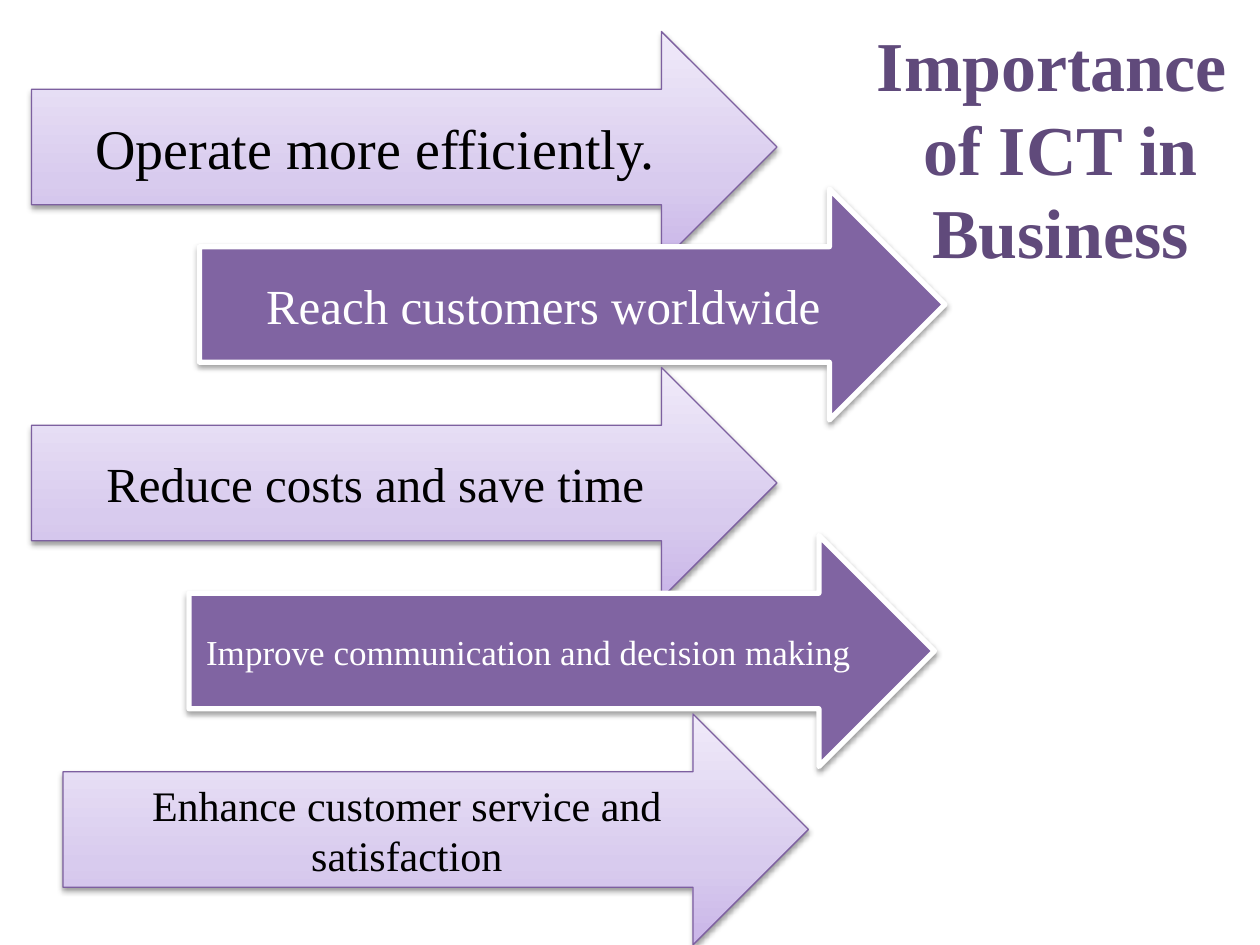
from lxml import etree
from pptx import Presentation
from pptx.dml.color import RGBColor
from pptx.enum.shapes import MSO_SHAPE
from pptx.enum.text import MSO_ANCHOR, PP_ALIGN
from pptx.oxml import parse_xml
from pptx.oxml.ns import nsdecls, qn
from pptx.util import Inches, Pt

ARROW = MSO_SHAPE.RIGHT_ARROW
CENTER = PP_ALIGN.CENTER
MIDDLE = MSO_ANCHOR.MIDDLE

THEME = {
    "font": "Times New Roman",
    "title": "604A7B",
    "title_size": 40,
    "gradient": [(0, "C9B5E8"), (35, "D8CBEE"), (100, "F0EAF9")],
    "solid": "8064A2",
    "light": {"line": "7D60A0", "width": 0.75, "text": "000000"},
    "dark": {"line": "FFFFFF", "width": 3, "text": "FFFFFF"},
}

# Grid of 120 columns by 90 rows
prs = Presentation()
prs.slide_width, prs.slide_height = Inches(10), Inches(7.5)
CELL = prs.slide_width // 120
ARROW_COLS, ARROW_ROWS = 71, 22
slide = prs.slides.add_slide(prs.slide_layouts[6])


def add_run(p, text, size, color, bold=False):
    r = p.add_run()
    r.text = text
    r.font.name = THEME["font"]
    r.font.size = Pt(size)
    r.font.bold = bold
    r.font.color.rgb = RGBColor.from_string(color)


def add_shadow(s):
    s.shadow.inherit = False
    effects = s._element.spPr.find(qn("a:effectLst"))
    effects.append(parse_xml(
        f'<a:outerShdw {nsdecls("a")} blurRad="{Pt(3.1)}" dist="{Pt(1.6)}" '
        'dir="5400000" rotWithShape="0"><a:srgbClr val="000000">'
        '<a:alpha val="38000"/></a:srgbClr></a:outerShdw>'))


# Title
s = slide.shapes.add_textbox(82 * CELL, 0, 38 * CELL, 28 * CELL)
tf = s.text_frame
tf.word_wrap = True
tf.vertical_anchor = MIDDLE
p = tf.paragraphs[0]
p.alignment = CENTER
add_run(p, "Importance ", THEME["title_size"], THEME["title"], True)
p.add_line_break()
add_run(p, "of ICT in Business", THEME["title_size"], THEME["title"], True)

# Arrows: column, row, type size, text; light and dark alternate
arrows = [
    (3, 3, 32, "Operate more efficiently."),
    (19, 18, 28, "Reach customers worldwide"),
    (3, 35, 28, "Reduce costs and save time"),
    (18, 51, 20, "Improve communication and decision making "),
    (6, 68, 24, "Enhance customer service and satisfaction"),
]
for i, (col, row, size, text) in enumerate(arrows):
    style = THEME["dark" if i % 2 else "light"]
    s = slide.shapes.add_shape(ARROW, col * CELL, row * CELL,
                               ARROW_COLS * CELL, ARROW_ROWS * CELL)
    if i % 2:
        s.fill.solid()
        s.fill.fore_color.rgb = RGBColor.from_string(THEME["solid"])
    else:
        # Three stops, running from bottom to top
        s.fill.gradient()
        s.fill.gradient_angle = 90
        stops = s._element.spPr.find(qn("a:gradFill")).find(qn("a:gsLst"))
        for stop in list(stops):
            stops.remove(stop)
        for pos, color in THEME["gradient"]:
            gs = etree.SubElement(stops, qn("a:gs"), pos=str(pos * 1000))
            etree.SubElement(gs, qn("a:srgbClr"), val=color)
    s.line.color.rgb = RGBColor.from_string(style["line"])
    s.line.width = Pt(style["width"])
    add_shadow(s)

    tf = s.text_frame
    tf.word_wrap = True
    tf.vertical_anchor = MIDDLE
    p = tf.paragraphs[0]
    p.alignment = CENTER
    add_run(p, text, size, style["text"])

prs.save("out.pptx")
